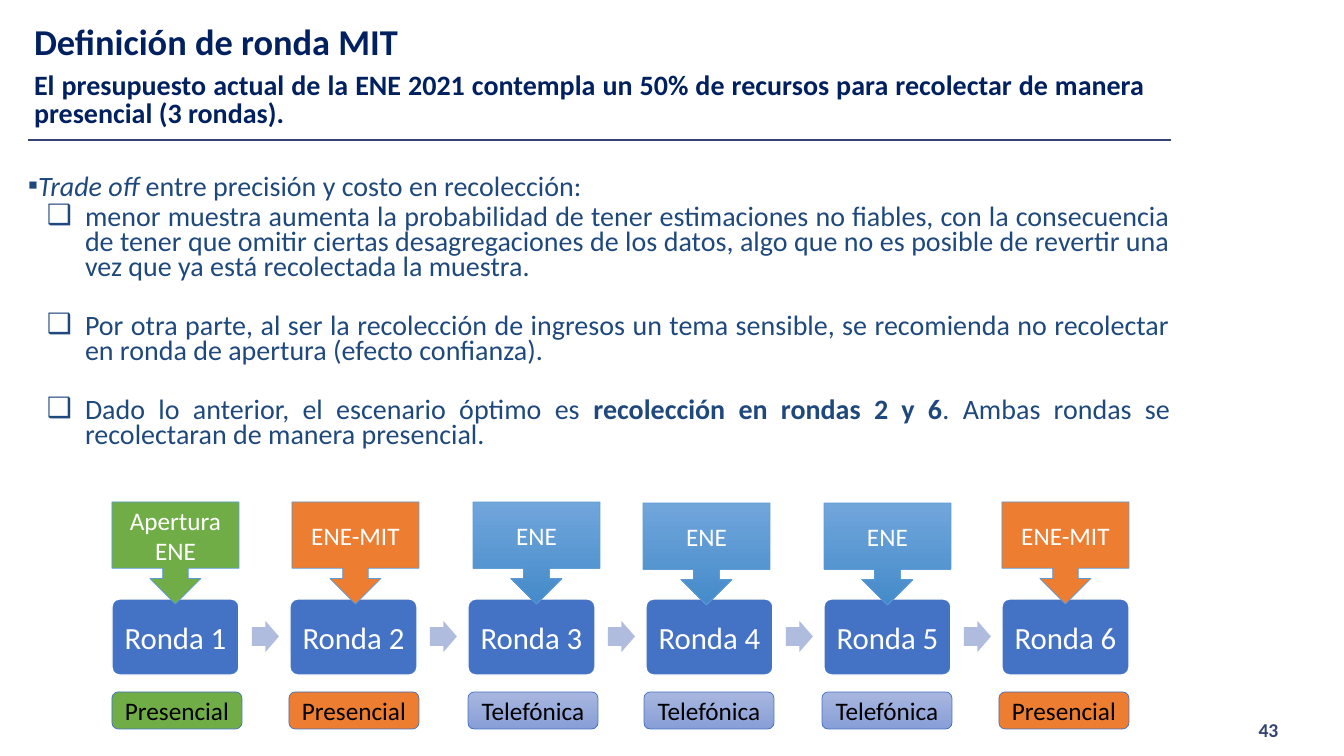
"""Builds the slide that defines the MIT round within the six ENE survey rounds."""
from dataclasses import dataclass

from lxml import etree
from pptx import Presentation
from pptx.dml.color import RGBColor
from pptx.enum.shapes import MSO_CONNECTOR, MSO_SHAPE
from pptx.enum.text import MSO_ANCHOR, MSO_AUTO_SIZE, PP_ALIGN
from pptx.oxml.ns import qn
from pptx.util import Emu, Pt

LEFT, CENTER, JUSTIFY = PP_ALIGN.LEFT, PP_ALIGN.CENTER, PP_ALIGN.JUSTIFY
TOP, MIDDLE = MSO_ANCHOR.TOP, MSO_ANCHOR.MIDDLE
ROUNDED, CALLOUT = MSO_SHAPE.ROUNDED_RECTANGLE, MSO_SHAPE.DOWN_ARROW_CALLOUT
NEXT_ARROW = MSO_SHAPE.RIGHT_ARROW


@dataclass(frozen=True)
class Theme:
    font: str = "Calibri"
    heading: str = "002060"
    body: str = "1F497D"
    accent: str = "344472"
    white: str = "FFFFFF"
    black: str = "000000"
    step: str = "4472C4"
    step_arrow: str = "B0BCDE"
    callout_line: str = "5B9BD5"
    opening: tuple = ("70AD47",)
    in_person: tuple = ("ED7D31",)
    survey: tuple = ("71A6DB", "448ACA")
    phone: tuple = ("A8B7DF", "889ED7")
    title_size: int = 26
    text_size: int = 20
    step_size: int = 22
    label_size: int = 18
    number_size: int = 14


THEME = Theme()
TITLE = "Definición de ronda MIT"
SUBTITLE = ("El presupuesto actual de la ENE 2021 contempla un 50% de recursos "
            "para recolectar de manera presencial (3 rondas).")
PAGE_NUMBER = "43"
POINTS = [
    (0, 3, [("Trade off ", "italic"), ("entre precisión y costo en recolección:", None)]),
    (1, 24, [("menor muestra aumenta la probabilidad de tener estimaciones no fiables, "
              "con la consecuencia de tener que omitir ciertas desagregaciones de los datos, "
              "algo que no es posible de revertir una vez que ya está recolectada la muestra.",
              None)]),
    (1, 24, [("Por otra parte, al ser la recolección de ingresos un tema sensible, "
              "se recomienda no recolectar en ronda de apertura (efecto confianza).", None)]),
    (1, 3, [("Dado lo anterior, el escenario óptimo es ", None),
            ("recolección en rondas 2 y 6", "bold"),
            (". Ambas rondas se recolectaran de manera presencial.", None)]),
]
BULLETS = [("▪", 10, 10), ("❑", 57, 38)]
ROUNDS = [
    ("Apertura\nENE", THEME.opening, (112, 502), "Presencial", THEME.opening, 112),
    ("ENE-MIT", THEME.in_person, (292, 502), "Presencial", THEME.in_person, 289),
    ("ENE", THEME.survey, (473, 502), "Telefónica", THEME.phone, 468),
    ("ENE", THEME.survey, (643, 503), "Telefónica", THEME.phone, 644),
    ("ENE", THEME.survey, (824, 503), "Telefónica", THEME.phone, 822),
    ("ENE-MIT", THEME.in_person, (1002, 502), "Presencial", THEME.in_person, 999),
]
SLIDE_WIDTH, SLIDE_HEIGHT = 1344, 756
STEP_LEFT, STEP_TOP, STEP_PITCH = 112, 599, 178
STEP_WIDTH, STEP_HEIGHT = 127, 76
ARROW_OFFSET, ARROW_WIDTH, ARROW_HEIGHT = 140, 27, 31
ARROW_TOP = STEP_TOP + (STEP_HEIGHT - ARROW_HEIGHT) // 2
CALLOUT_HEIGHT = 102
TAG_TOP, TAG_WIDTH, TAG_HEIGHT = 692, 130, 37
EMU_PER_PX = 12192000 / SLIDE_WIDTH


def px(length):
    return Emu(round(length * EMU_PER_PX))


def color(code):
    return RGBColor.from_string(code)


def style(paragraph, size, code, align, bold=False):
    paragraph.alignment = align
    font = paragraph.font
    font.name, font.size, font.bold = THEME.font, Pt(size), bold
    font.color.rgb = color(code)


def place(box, left, top, width, height):
    box.left, box.top, box.width, box.height = map(px, (left, top, width, height))


def setup_frame(frame, anchor, side, edge):
    frame.word_wrap = True
    frame.auto_size = MSO_AUTO_SIZE.NONE
    frame.vertical_anchor = anchor
    frame.margin_left = frame.margin_right = px(side)
    frame.margin_top = frame.margin_bottom = px(edge)


def write(frame, text, size, code, align, bold=False, line=None):
    frame.text = text
    for paragraph in frame.paragraphs:
        if line:
            paragraph.line_spacing = Pt(line)
        style(paragraph, size, code, align, bold)


def add_bullet(paragraph, mark, margin, hang):
    properties = paragraph._p.get_or_add_pPr()
    properties.set("marL", str(px(margin)))
    properties.set("indent", str(-px(hang)))
    etree.SubElement(properties, qn("a:buFont")).set("typeface", THEME.font)
    etree.SubElement(properties, qn("a:buChar")).set("char", mark)


def add_block(slide, kind, box, fill, line=None, line_width=0.5):
    block = slide.shapes.add_shape(kind, *map(px, box))
    block.shadow.inherit = False
    if len(fill) == 1:
        block.fill.solid()
        block.fill.fore_color.rgb = color(fill[0])
    else:
        block.fill.gradient()
        block.fill.gradient_angle = 270
        for stop, code in zip(block.fill.gradient_stops, fill):
            stop.color.rgb = color(code)
    if line:
        block.line.color.rgb = color(line)
        block.line.width = Pt(line_width)
    else:
        block.line.fill.background()
    return block


def label(block, text, size, code):
    setup_frame(block.text_frame, MIDDLE, 0, 0)
    write(block.text_frame, text, size, code, CENTER)


def add_header(slide):
    title = slide.shapes.title
    place(title, 24, 23, 1025, 46)
    setup_frame(title.text_frame, TOP, 10, 5)
    write(title.text_frame, TITLE, THEME.title_size, THEME.heading, LEFT, True, 25)

    subtitle = slide.shapes.add_textbox(px(24), px(68), px(1131), px(68))
    setup_frame(subtitle.text_frame, TOP, 10, 5)
    write(subtitle.text_frame, SUBTITLE, THEME.text_size, THEME.heading, JUSTIFY, True, 20)

    rule = slide.shapes.add_connector(MSO_CONNECTOR.STRAIGHT, px(28), px(140), px(1171), px(140))
    rule.line.color.rgb = color(THEME.accent)
    rule.line.width = Pt(1)
    etree.SubElement(rule._element.spPr, qn("a:effectLst"))

    number = slide.shapes.add_textbox(px(1253), px(715), px(31), px(30))
    setup_frame(number.text_frame, MIDDLE, 4, 4)
    write(number.text_frame, PAGE_NUMBER, THEME.number_size, THEME.accent, CENTER, True)


def add_points(slide):
    body = slide.placeholders[1]
    place(body, 28, 173, 1142, 285)
    frame = body.text_frame
    setup_frame(frame, TOP, 0, 4)
    for index, (level, gap, runs) in enumerate(POINTS):
        paragraph = frame.add_paragraph() if index else frame.paragraphs[0]
        paragraph.level = level
        paragraph.line_spacing = Pt(18)
        paragraph.space_before = Pt(0)
        paragraph.space_after = Pt(gap)
        add_bullet(paragraph, *BULLETS[level])
        style(paragraph, THEME.text_size, THEME.body, JUSTIFY)
        for text, emphasis in runs:
            run = paragraph.add_run()
            run.text = text
            if emphasis:
                setattr(run.font, emphasis, True)


def add_rounds(slide):
    for index, (survey, survey_fill, corner, mode, mode_fill, tag_left) in enumerate(ROUNDS):
        left = STEP_LEFT + index * STEP_PITCH
        step = add_block(slide, ROUNDED, (left, STEP_TOP, STEP_WIDTH, STEP_HEIGHT),
                         (THEME.step,), THEME.white, 1)
        step.adjustments[0] = 0.1
        label(step, f"Ronda {index + 1}", THEME.step_size, THEME.white)
        if index < len(ROUNDS) - 1:
            arrow = add_block(slide, NEXT_ARROW, (left + ARROW_OFFSET, ARROW_TOP, ARROW_WIDTH,
                                                  ARROW_HEIGHT), (THEME.step_arrow,))
            arrow.adjustments[0] = 0.6
        callout = add_block(slide, CALLOUT, (*corner, STEP_WIDTH, CALLOUT_HEIGHT),
                            survey_fill, THEME.callout_line)
        label(callout, survey, THEME.label_size, THEME.white)
        tag = add_block(slide, ROUNDED, (tag_left, TAG_TOP, TAG_WIDTH, TAG_HEIGHT),
                        mode_fill, THEME.step)
        label(tag, mode, THEME.label_size, THEME.black)


def main():
    deck = Presentation()
    deck.slide_width, deck.slide_height = px(SLIDE_WIDTH), px(SLIDE_HEIGHT)
    slide = deck.slides.add_slide(deck.slide_layouts[1])
    add_header(slide)
    add_points(slide)
    add_rounds(slide)
    deck.save("out.pptx")


if __name__ == "__main__":
    main()
